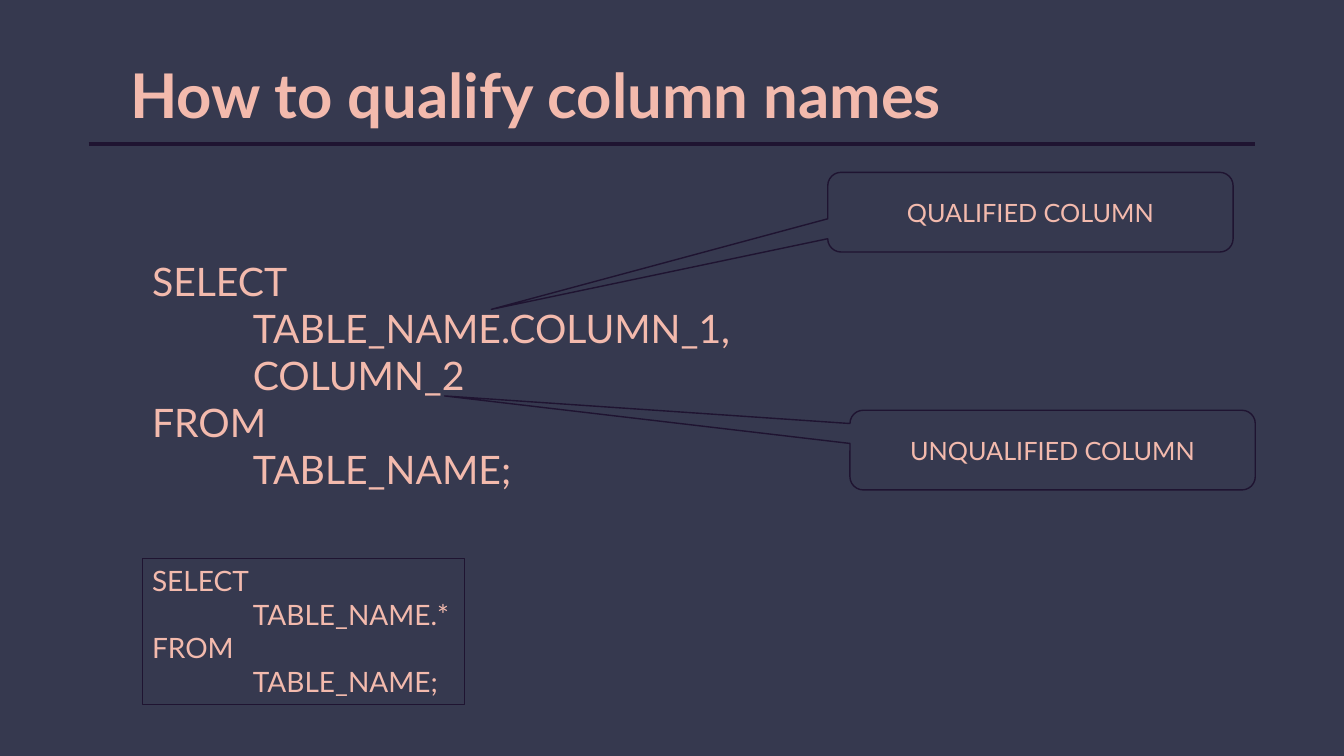
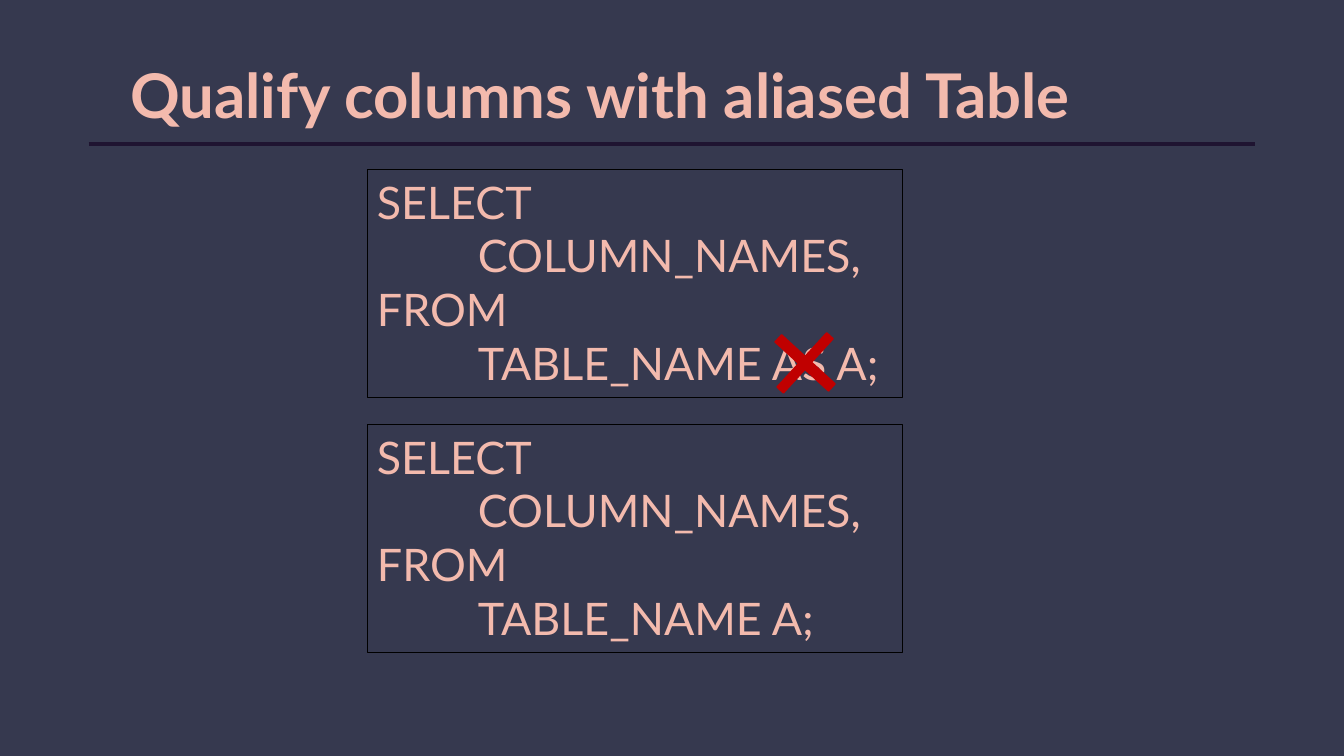
from pptx import Presentation
from pptx.dml.color import RGBColor
from pptx.enum.shapes import MSO_CONNECTOR, MSO_SHAPE
from pptx.enum.text import MSO_ANCHOR, MSO_AUTO_SIZE, PP_ALIGN
from pptx.oxml.ns import qn
from pptx.util import Inches, Pt
from lxml.etree import SubElement

FONT = "Lato"
COLORS = {
    "background": "36394F",
    "text": "F3BAAD",
    "rule": "1F1431",
    "frame": "000000",
    "cross": "C00000",
}


def color(name):
    return RGBColor.from_string(COLORS[name])


def set_fill(s, name):
    s.fill.solid()
    s.fill.fore_color.rgb = color(name)


def set_line(s, name, width):
    s.line.color.rgb = color(name)
    s.line.width = Pt(width)


def write(s, text, size, bold=False, align=PP_ALIGN.LEFT, anchor=MSO_ANCHOR.TOP):
    tf = s.text_frame
    tf.word_wrap = True
    tf.auto_size = MSO_AUTO_SIZE.NONE
    tf.vertical_anchor = anchor
    for i, line in enumerate(text.split("\n")):
        p = tf.add_paragraph() if i else tf.paragraphs[0]
        p.alignment = align
        if line.startswith("\t"):
            pPr = p._p.get_or_add_pPr()
            pPr.set("marL", str(Inches(1)))
            pPr.set("indent", "0")
        r = p.add_run()
        r.text = line.strip()
        r.font.name = FONT
        r.font.size = Pt(size)
        r.font.bold = bold
        r.font.color.rgb = color("text")


def add_titled_slide(prs, title, width):
    slide = prs.slides.add_slide(prs.slide_layouts[5])
    s = slide.shapes.title
    s.left, s.top = Inches(1.19), Inches(0.51)
    s.width, s.height = Inches(width), Inches(0.77)
    set_fill(s, "background")
    write(s, title, 44, bold=True)
    rule = slide.shapes.add_connector(
        MSO_CONNECTOR.STRAIGHT, Inches(0.88), Inches(1.43), Inches(12.45), Inches(1.43))
    set_line(rule, "rule", 3)
    SubElement(rule._element.spPr, qn("a:effectLst"))
    return slide


def add_code(slide, code, left, top, width, height, size, frame=None):
    s = slide.shapes.add_textbox(Inches(left), Inches(top), Inches(width), Inches(height))
    if frame:
        set_line(s, frame, 0.75)
    write(s, code, size)


def add_callout(slide, text, left, top, tip_x, tip_y):
    s = slide.shapes.add_shape(
        MSO_SHAPE.ROUNDED_RECTANGULAR_CALLOUT,
        Inches(left), Inches(top), Inches(4.02), Inches(0.79))
    s.shadow.inherit = False
    s.fill.background()
    set_line(s, "rule", 1)
    s.adjustments[0], s.adjustments[1] = tip_x, tip_y
    write(s, text, 18, align=PP_ALIGN.CENTER, anchor=MSO_ANCHOR.MIDDLE)


def add_cross(slide, left, top, width, height):
    s = slide.shapes.add_shape(
        MSO_SHAPE.CROSS, Inches(left), Inches(top), Inches(width), Inches(height))
    s.shadow.inherit = False
    s.adjustments[0] = 0.44
    s.rotation = 312.5
    set_fill(s, "cross")
    set_line(s, "cross", 1)


def build_qualified_names(prs):
    slide = add_titled_slide(prs, "How to qualify column names", 9.04)
    add_code(slide, "SELECT\n\tTABLE_NAME.COLUMN_1,\n\tCOLUMN_2\nFROM\n\tTABLE_NAME;",
             1.41, 2.5, 6.07, 2.46, 28)
    add_callout(slide, "QUALIFIED COLUMN", 8.21, 1.71, -1.33, 1.22)
    add_callout(slide, "UNQUALIFIED COLUMN", 8.43, 4.07, -1.5, -0.68)
    add_code(slide, "SELECT\n\tTABLE_NAME.*\nFROM\n\tTABLE_NAME;",
             1.41, 5.54, 3.2, 1.45, 20, frame="rule")


def build_aliased_table(prs):
    slide = add_titled_slide(prs, "Qualify columns with aliased Table", 11.89)
    for i, table in enumerate(("TABLE_NAME AS A;", "TABLE_NAME A;")):
        add_code(slide, f"SELECT\n\tCOLUMN_NAMES,\nFROM\n\t{table}",
                 3.64, 1.68 + 2.53 * i, 5.31, 2.26, 32, frame="frame")
    add_cross(slide, 7.62, 3.24, 0.73, 0.72)


def main():
    prs = Presentation()
    prs.slide_width, prs.slide_height = Inches(13.33), Inches(7.5)
    set_fill(prs.slide_master.background, "background")
    build_qualified_names(prs)
    build_aliased_table(prs)
    prs.save("out.pptx")


if __name__ == "__main__":
    main()
